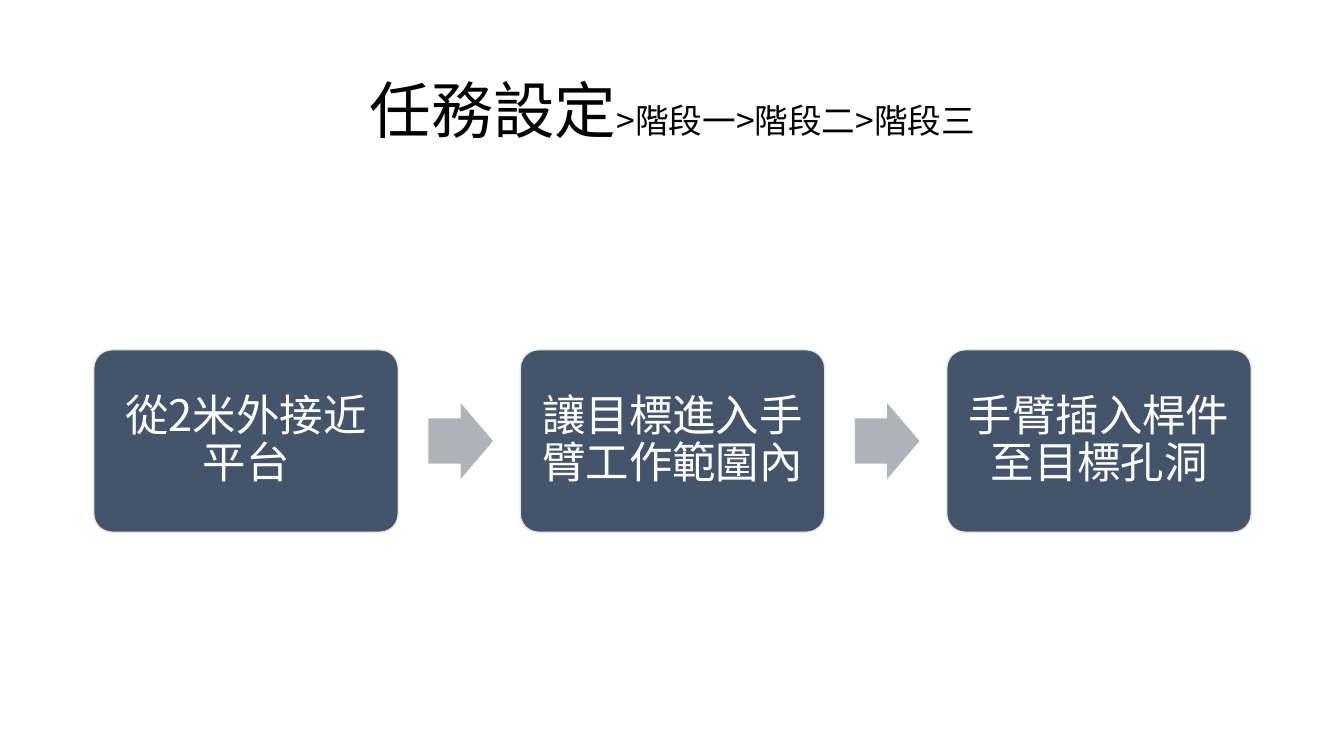
from lxml.etree import SubElement
from pptx import Presentation
from pptx.dml.color import RGBColor as Rgb
from pptx.enum.shapes import MSO_SHAPE as Kind
from pptx.enum.text import MSO_ANCHOR as Anchor, MSO_AUTO_SIZE as Auto, PP_ALIGN as Align
from pptx.oxml.ns import qn
from pptx.util import Inches, Pt

TITLE = [("任務設定", 44), (">階段一>階段二>階段三", 24)]
STEPS = ["從2米外接近平台", "讓目標進入手臂工作範圍內", "手臂插入桿件至目標孔洞"]
COLORS = {"ink": "000000", "box": "44546A", "edge": "E7E6E6", "arrow": "B0B4B9", "text": "FFFFFF"}
FONT = "Noto Sans CJK SC"
WIDE, HIGH = 13.33, 7.5
LEFT, PITCH, MID = 0.93, 4.23, 4.375
BOX = (3.02, 1.81)
ARROW = (0.64, 0.75)
SHIFT = 3.32


def tint(name):
    return Rgb.from_string(COLORS[name])


def write(shape, runs, color, pad, after):
    frame = shape.text_frame
    margins = dict(zip(("margin_left", "margin_right", "margin_top", "margin_bottom"), map(Inches, pad)))
    look = {"word_wrap": True, "auto_size": Auto.NONE, "vertical_anchor": Anchor.MIDDLE, **margins}
    for key, value in look.items():
        setattr(frame, key, value)
    para = frame.paragraphs[0]
    for key, value in {"alignment": Align.CENTER, "line_spacing": 0.9, "space_after": Pt(after)}.items():
        setattr(para, key, value)
    for words, size in runs:
        run = para.add_run()
        run.text = words
        for key, value in {"name": FONT, "size": Pt(size)}.items():
            setattr(run.font, key, value)
        run.font.color.rgb = tint(color)
        SubElement(run.font._element, qn("a:ea"), typeface=FONT)


def draw(slide, kind, left, size, fill, bends):
    wide, high = size
    shape = slide.shapes.add_shape(kind, *map(Inches, (left, MID - high / 2, wide, high)))
    shape.shadow.inherit = False
    shape.fill.solid()
    shape.fill.fore_color.rgb = tint(fill)
    shape.line.fill.background()
    for i, bend in enumerate(bends):
        shape.adjustments[i] = bend
    return shape


def main():
    deck = Presentation()
    deck.slide_width, deck.slide_height = Inches(WIDE), Inches(HIGH)
    slide = deck.slides.add_slide(deck.slide_layouts[5])
    title = slide.shapes.title
    place = {"left": 0.92, "top": 0.4, "width": 11.5, "height": 1.45}
    for key, value in place.items():
        setattr(title, key, Inches(value))
    write(title, TITLE, "ink", (0.1, 0.1, 0.05, 0.05), 0)
    for i, step in enumerate(STEPS):
        left = LEFT + i * PITCH
        box = draw(slide, Kind.ROUNDED_RECTANGLE, left, BOX, "box", [0.1])
        box.line.color.rgb = tint("edge")
        box.line.width = Pt(1)
        write(box, [(step, 31)], "text", [0.13] * 4, 11)
        if i < len(STEPS) - 1:
            draw(slide, Kind.RIGHT_ARROW, left + SHIFT, ARROW, "arrow", [0.6, 0.5])
    deck.save("out.pptx")


if __name__ == "__main__":
    main()
